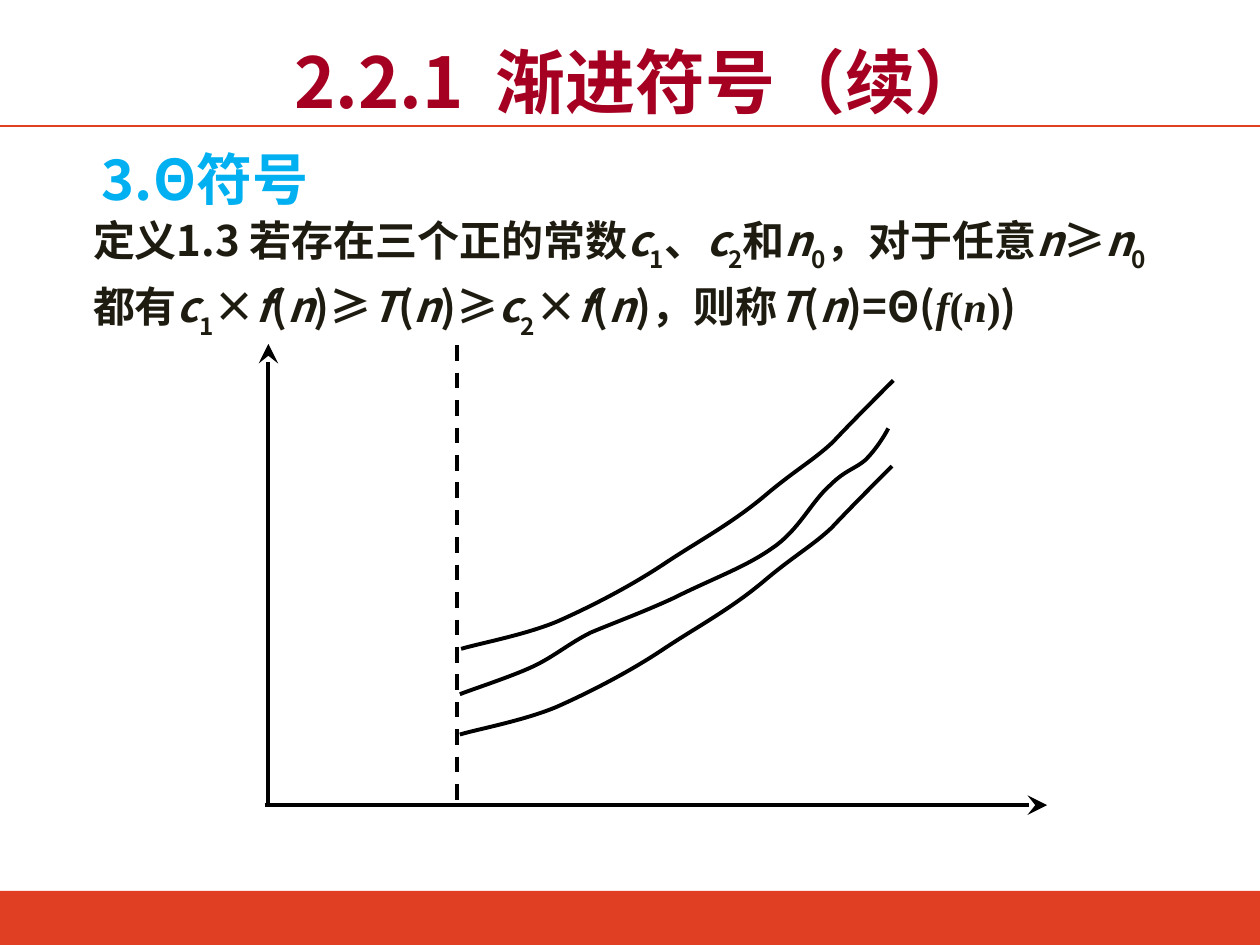
from lxml.etree import SubElement
from pptx import Presentation
from pptx.dml.color import RGBColor
from pptx.enum.dml import MSO_LINE
from pptx.enum.shapes import MSO_CONNECTOR, MSO_SHAPE
from pptx.enum.text import MSO_AUTO_SIZE, PP_ALIGN
from pptx.oxml.ns import qn
from pptx.util import Emu, Pt

PX = 9144
WIDTH, HEIGHT = 1000, 750
SANS = "Noto Sans CJK SC"
SERIF = "Times New Roman"
ORANGE = RGBColor(0xE0, 0x3F, 0x24)
CRIMSON = RGBColor(0xA5, 0x00, 0x21)
SKY = RGBColor(0x00, 0xB0, 0xF0)
INK = RGBColor(0x1E, 0x1C, 0x11)
WHITE = RGBColor(0xFF, 0xFF, 0xFF)
BLACK = RGBColor(0, 0, 0)

DEFINITION = (
    "定义1.3 若存在三个正的常数|/c|_1|、|/c|_2|和|/n|_0|，对于任意|/n|≥|/n|_0|都有|"
    "/c|_1|×|/f|(|/n|)≥|/T|(|/n|)≥|/c|_2|×|/f|(|/n|)，则称|/T|(|/n|)=Θ("
)
BOUND = [(365, 583), (378, 579), (416, 572), (442, 561), (469, 549),
         (500, 533), (527, 515), (554, 497), (581, 483), (609, 459),
         (632, 440), (645, 433), (660, 419), (674, 404), (698, 380), (708, 370)]
MIDDLE = [(365, 551), (375, 547), (406, 537), (423, 529), (440, 521),
          (451, 511), (469, 502), (488, 494), (510, 486), (534, 475),
          (566, 459), (592, 450), (613, 435), (634, 421), (644, 398),
          (659, 385), (671, 373), (679, 372), (687, 365), (695, 357),
          (702, 346), (705, 340)]


def px(value):
    return Emu(value * PX)


def add_runs(p, markup, size, color, font=SANS, bold=True):
    for part in markup.split("|"):
        italic, sub = part.startswith("/"), part.startswith("_")
        r = p.add_run()
        r.text = part[1:] if italic or sub else part
        r.font.size, r.font.bold, r.font.italic = Pt(size), bold, italic
        r.font.name = font
        r.font.color.rgb = color
        r_pr = r.font._element
        SubElement(r_pr, qn("a:ea")).set("typeface", font)
        if sub:
            r_pr.set("baseline", "-30000")


def bend_segments(sp):
    segments = list(sp._element.iter(qn("a:lnTo")))
    outline = segments[0].getparent()
    for i in range(0, len(segments), 3):
        bezier = SubElement(outline, qn("a:cubicBezTo"))
        for segment in segments[i:i + 3]:
            bezier.append(segment[0])
            outline.remove(segment)


class Canvas:
    def __init__(self, slide):
        self.slide = slide
        self.shapes = slide.shapes

    def open_group(self):
        self.shapes = self.slide.shapes.add_group_shape().shapes

    def close_group(self):
        self.shapes = self.slide.shapes

    def bar(self, x, y, w, h, color):
        sp = self.shapes.add_shape(MSO_SHAPE.RECTANGLE, px(x), px(y), px(w), px(h))
        sp.shadow.inherit = False
        sp.fill.solid()
        sp.fill.fore_color.rgb = color
        sp.line.fill.background()

    def line(self, start, end, color=BLACK, width=2.25, dash=None, arrow=False):
        cxn = self.shapes.add_connector(
            MSO_CONNECTOR.STRAIGHT, *map(px, start), *map(px, end))
        cxn.line.color.rgb = color
        cxn.line.width = Pt(width)
        if dash:
            cxn.line.dash_style = dash
        if arrow:
            SubElement(cxn.line._get_or_add_ln(), qn("a:tailEnd"),
                       type="stealth", w="lg", len="lg")
        SubElement(cxn._element.spPr, qn("a:effectLst"))

    def curve(self, nodes, dx=0, dy=0):
        start, *rest = [(px(x + dx), px(y + dy)) for x, y in nodes]
        builder = self.shapes.build_freeform(*start)
        builder.add_line_segments(rest, close=False)
        sp = builder.convert_to_shape()
        bend_segments(sp)
        sp.shadow.inherit = False
        sp.fill.background()
        sp.line.color.rgb = BLACK
        sp.line.width = Pt(2.25)

    def text(self, x, y, w, h, space_before, align=PP_ALIGN.LEFT):
        tf = self.shapes.add_textbox(px(x), px(y), px(w), px(h)).text_frame
        tf.word_wrap = True
        tf.auto_size = MSO_AUTO_SIZE.SHAPE_TO_FIT_TEXT
        p = tf.paragraphs[0]
        p.alignment = align
        p.space_before = Pt(space_before)
        return p


def main():
    prs = Presentation()
    prs.slide_width, prs.slide_height = px(WIDTH), px(HEIGHT)
    s = Canvas(prs.slides.add_slide(prs.slide_layouts[6]))

    s.bar(0, 707, WIDTH, 43, ORANGE)
    s.line((0, 100), (WIDTH, 100), color=ORANGE, width=1.5)

    p = s.text(71, 110, 633, 64, 15)
    add_runs(p, "3.Θ符号", 32, SKY)
    add_runs(p, " ", 24, WHITE, font=SERIF)
    p = s.text(64, 165, 883, 110, 17.5)
    add_runs(p, DEFINITION, 24, INK)
    add_runs(p, "/f|(|/n|)", 24, INK, font=SERIF)
    add_runs(p, ")", 24, INK)
    add_runs(p, " ", 28, INK, bold=False)

    s.open_group()
    s.line((210, 639), (831, 639), arrow=True)
    s.line((213, 639), (213, 273), arrow=True)
    s.line((363, 274), (363, 639), dash=MSO_LINE.DASH)
    s.curve(MIDDLE)
    s.curve(BOUND)
    s.curve(BOUND, dx=1, dy=-68)
    s.close_group()

    title = s.text(195, 26, 638, 77, 25, align=PP_ALIGN.CENTER)
    add_runs(title, "2.2.1  渐进符号（续） ", 40, CRIMSON)
    prs.save("out.pptx")


if __name__ == "__main__":
    main()
